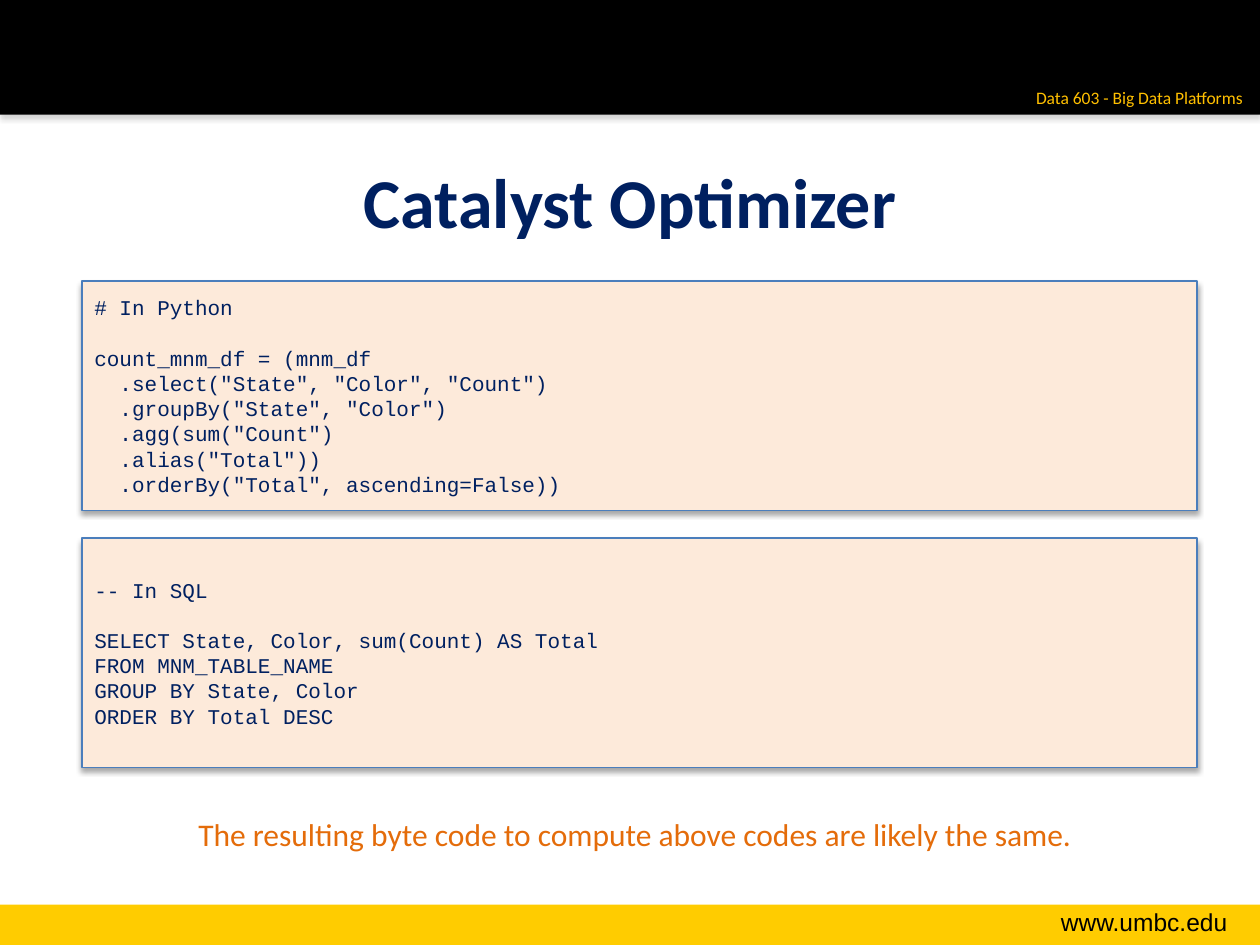
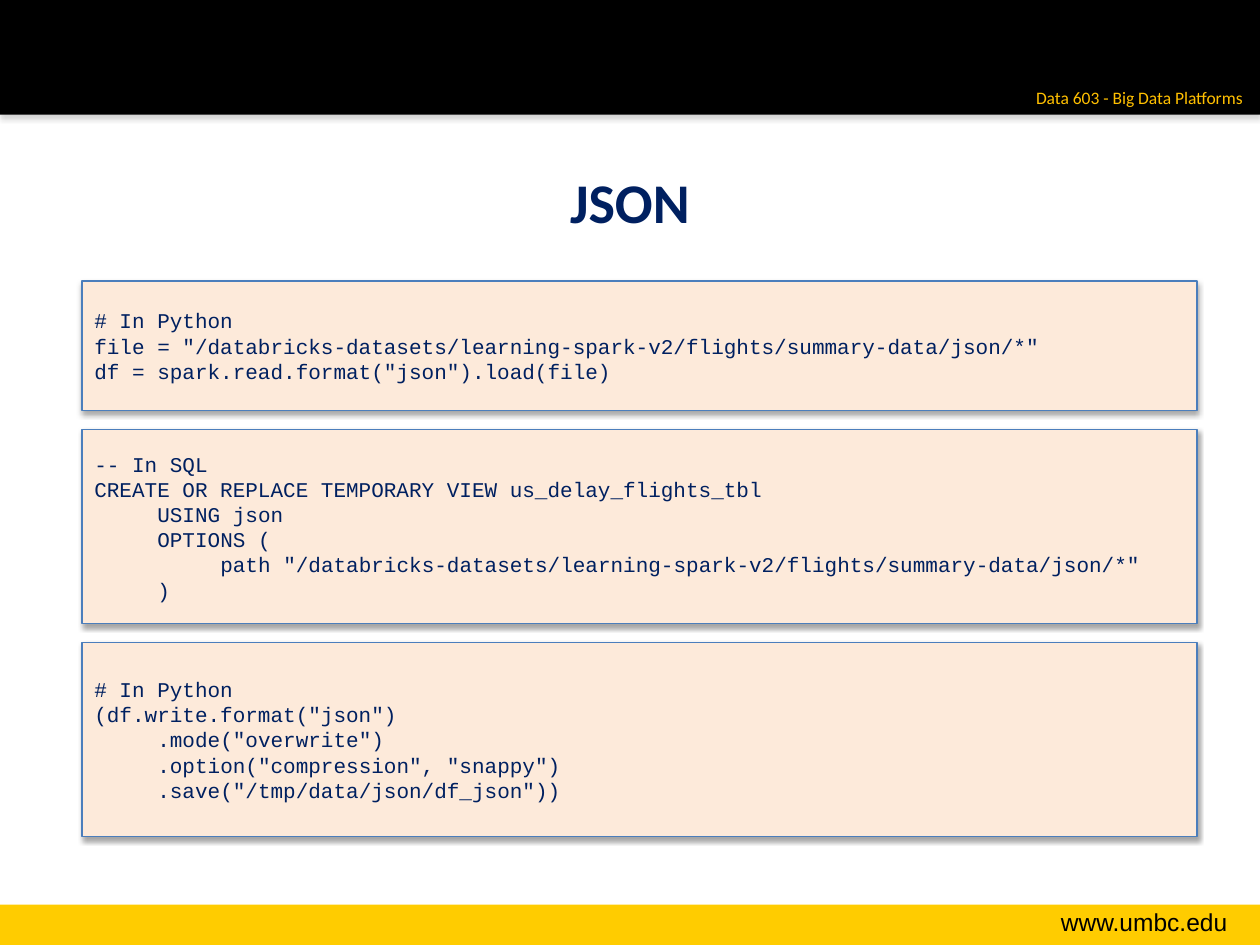
from dataclasses import dataclass

from lxml.etree import SubElement
from pptx import Presentation
from pptx.dml.color import RGBColor
from pptx.enum.shapes import MSO_SHAPE
from pptx.enum.text import MSO_ANCHOR, PP_ALIGN
from pptx.oxml.ns import qn
from pptx.util import Inches, Pt

SLIDES = [
    {
        "title": "Catalyst Optimizer", "title_size": 40, "gap": 0.22,
        "boxes": [
            (1.82, ['# In Python',
                    '',
                    'count_mnm_df = (mnm_df',
                    '  .select("State", "Color", "Count")',
                    '  .groupBy("State", "Color")',
                    '  .agg(sum("Count")',
                    '  .alias("Total"))',
                    '  .orderBy("Total", ascending=False))']),
            (1.82, ['-- In SQL',
                    '',
                    'SELECT State, Color, sum(Count) AS Total',
                    'FROM MNM_TABLE_NAME',
                    'GROUP BY State, Color',
                    'ORDER BY Total DESC']),
        ],
        "caption": "The resulting byte code to compute above codes are likely the same.",
    },
    {
        "title": "JSON", "title_size": 32, "gap": 0.15,
        "boxes": [
            (1.03, ['# In Python',
                    'file = "/databricks-datasets/learning-spark-v2/flights/summary-data/json/*"',
                    'df = spark.read.format("json").load(file)']),
            (1.54, ['-- In SQL',
                    'CREATE OR REPLACE TEMPORARY VIEW us_delay_flights_tbl',
                    '\tUSING json',
                    '\tOPTIONS (',
                    '\t\tpath "/databricks-datasets/learning-spark-v2/flights/summary-data/json/*"',
                    '\t)']),
            (1.54, ['# In Python',
                    '(df.write.format("json")',
                    '\t.mode("overwrite")',
                    '\t.option("compression", "snappy")',
                    '\t.save("/tmp/data/json/df_json"))']),
        ],
    },
]
COURSE = "Data 603 - Big Data Platforms"
SITE = "www.umbc.edu"


@dataclass(frozen=True)
class Theme:
    black: str = "000000"
    gold: str = "FFCC00"
    amber: str = "FFC000"
    navy: str = "002060"
    orange: str = "E46C0A"
    peach: str = "FDEADA"
    blue: str = "4B7EBC"
    grey: str = "808080"
    body_font: str = "Calibri"
    code_font: str = "Courier New"
    site_font: str = "Arial"
    course_size: int = 10
    code_size: int = 12
    site_size: int = 14
    caption_size: int = 18


T = Theme()
W, H = 10, 7.5
HEADER_H, FOOTER_H = 0.91, 0.32
BOX_X, BOX_Y, BOX_W = 0.65, 2.23, 8.85
INDENT = 0.5
BLANK_LINE = 1.2 * T.code_size


def rgb(color):
    return RGBColor.from_string(color)


def write(tf, lines, *, size, color, font=T.body_font, bold=False,
          align=PP_ALIGN.LEFT, anchor=MSO_ANCHOR.TOP, wrap=True):
    """Write one paragraph per line: a tab indents it, an empty line adds space."""
    tf.word_wrap = wrap
    tf.vertical_anchor = anchor
    p, space = tf.paragraphs[0], 0
    for i, line in enumerate(lines):
        if not line:
            space = BLANK_LINE
            continue
        if i:
            p = tf.add_paragraph()
            p.space_before = Pt(space)
        space = 0
        text = line.lstrip("\t")
        depth = len(line) - len(text)
        if depth:
            pPr = p._p.get_or_add_pPr()
            pPr.set("marL", str(Inches(depth * INDENT)))
            pPr.set("indent", "0")
        p.alignment = align
        r = p.add_run()
        r.text = text
        r.font.name, r.font.size, r.font.bold = font, Pt(size), bold
        r.font.color.rgb = rgb(color)


def add_text(slide, at, text, **fmt):
    sp = slide.shapes.add_textbox(*map(Inches, at))
    write(sp.text_frame, [text], **fmt)
    return sp


def add_rect(slide, at, fill, line=None, shadow=None):
    sp = slide.shapes.add_shape(MSO_SHAPE.RECTANGLE, *map(Inches, at))
    sp.fill.solid()
    sp.fill.fore_color.rgb = rgb(fill)
    if line:
        sp.line.color.rgb = rgb(line)
        sp.line.width = Pt(0.75)
    else:
        sp.line.fill.background()
    sp.shadow.inherit = False
    if shadow:
        effects = sp.element.spPr.find(qn("a:effectLst"))
        outer = SubElement(effects, qn("a:outerShdw"), blurRad=str(Pt(3.1)),
                           dist=str(Pt(1.8)), dir="5400000", rotWithShape="0")
        clr = SubElement(outer, qn("a:srgbClr"), val=shadow)
        SubElement(clr, qn("a:alpha"), val="35000")
    return sp


def move_to_layout(shapes, layout):
    for i, sp in enumerate(shapes, 100):
        sp.element.nvSpPr.cNvPr.set("id", str(i))
        layout.shapes.element.append(sp.element)


def add_bands(slide):
    """Draw the shared header and footer on the slide's layout."""
    parts = [
        add_rect(slide, (0, H - FOOTER_H, W, FOOTER_H), T.gold),
        add_rect(slide, (0, 0, W, HEADER_H), T.black, shadow=T.grey),
        add_text(slide, (7.85, 7.15, 1.99, 0.34), SITE, size=T.site_size,
                 color=T.black, font=T.site_font, align=PP_ALIGN.RIGHT),
        add_text(slide, (8.09, 0.64, 1.87, 0.27), COURSE, size=T.course_size,
                 color=T.amber, align=PP_ALIGN.RIGHT, wrap=False),
    ]
    move_to_layout(parts, slide.slide_layout)


def fill_slide(slide, data):
    title = slide.shapes.title
    title.left, title.top, title.width, title.height = map(Inches, (0.5, 0.97, 9, 1.25))
    write(title.text_frame, [data["title"]], size=data["title_size"], color=T.navy,
          bold=True, align=PP_ALIGN.CENTER, anchor=MSO_ANCHOR.MIDDLE)
    y = BOX_Y
    for height, code in data["boxes"]:
        sp = add_rect(slide, (BOX_X, y, BOX_W, height), T.peach, T.blue, T.black)
        write(sp.text_frame, code, size=T.code_size, color=T.navy,
              font=T.code_font, anchor=MSO_ANCHOR.MIDDLE)
        y += height + data["gap"]
    if "caption" in data:
        add_text(slide, (1.4, 6.42, 7.28, 0.4), data["caption"], size=T.caption_size,
                 color=T.orange, align=PP_ALIGN.CENTER, wrap=False)


def main():
    prs = Presentation()
    prs.slide_width, prs.slide_height = Inches(W), Inches(H)
    layout = prs.slide_layouts.get_by_name("Title Only")
    for i, data in enumerate(SLIDES):
        slide = prs.slides.add_slide(layout)
        if i == 0:
            add_bands(slide)
        fill_slide(slide, data)
    prs.save("out.pptx")


if __name__ == "__main__":
    main()
